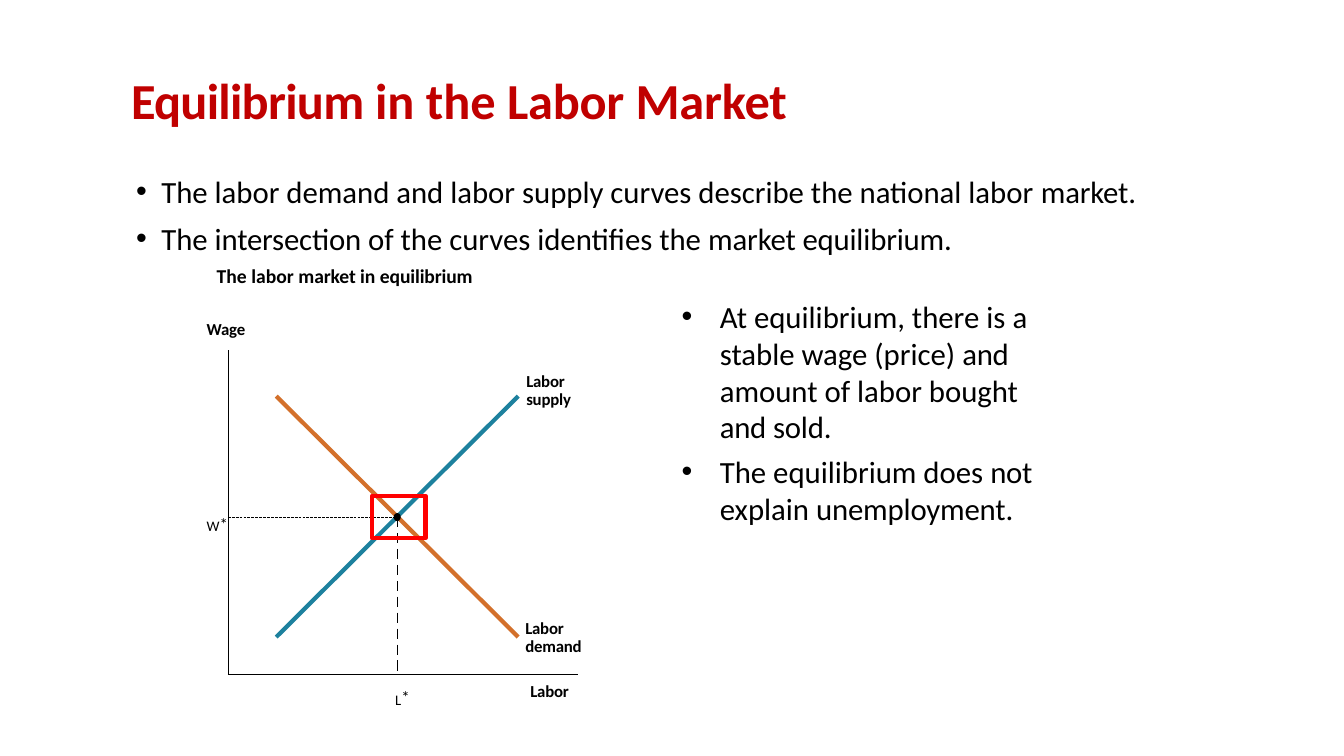
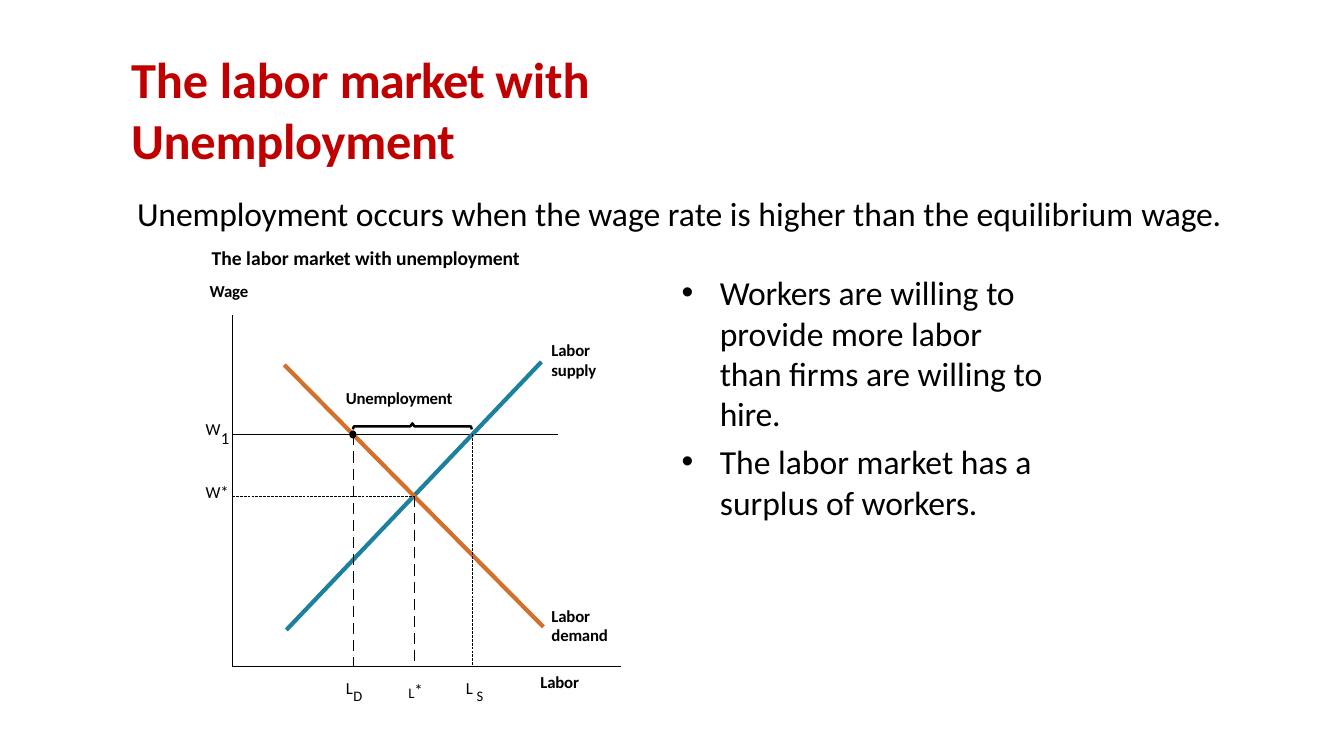
from pptx import Presentation
from pptx.dml.color import RGBColor
from pptx.enum.dml import MSO_LINE
from pptx.enum.shapes import MSO_CONNECTOR, MSO_SHAPE
from pptx.oxml.ns import qn
from pptx.util import Inches, Pt
from lxml.etree import SubElement

FONT = "Calibri"
BLACK, TITLE_RED, BOX_RED = "000000", "C00000", "FF0000"
SUPPLY, DEMAND = "1D819E", "D3702B"
THIN, THICK = 0.25, 3


def color(hex_string):
    return RGBColor.from_string(hex_string)


def add_span(para, text, size=12, bold=False, ink=BLACK, spacing=0, baseline=0):
    """Add a run; spacing is in points, baseline in percent."""
    span = para.add_run()
    span.text = text
    font = span.font
    font.name, font.size, font.bold = FONT, Pt(size), bold
    font.color.rgb = color(ink)
    properties = span._r.get_or_add_rPr()
    if spacing:
        properties.set("spc", str(round(spacing * 100)))
    if baseline:
        properties.set("baseline", str(baseline * 1000))


def tight(text, spacing=-0.1):
    return text, {"spacing": spacing}


def line_of(*spans, indent=0.01, hang=0, before=0, leading=None, **style):
    """Describe a paragraph; a span is a text or a (text, own style) pair."""
    pairs = [(span, {}) if isinstance(span, str) else span for span in spans]
    return {"spans": [(text, {**style, **own}) for text, own in pairs],
            "indent": indent, "hang": hang, "before": before, "leading": leading}


def starred(letter):
    return line_of((letter, {"size": 18, "baseline": -7, "spacing": -0.4}),
                   tight("*", -0.2), indent=0.04)


def dashes(x, top, bottom, step, dash):
    """List the strokes of a vertical dashed line, one every step inches."""
    count = int((bottom - top) / step + 0.99)
    starts = [top + index * step for index in range(count)]
    return [((x, y), (x, min(y + dash, bottom))) for y in starts]


class Slides:
    def __init__(self):
        self.deck = Presentation()
        self.deck.slide_width, self.deck.slide_height = Inches(13.33), Inches(7.5)
        self.page = None

    def new_page(self):
        self.page = self.deck.slides.add_slide(self.deck.slide_layouts[6])

    # Text
    def text(self, left, top, width, height, *lines):
        box = self.page.shapes.add_textbox(
            Inches(left), Inches(top), Inches(width), Inches(height))
        frame = box.text_frame
        frame.word_wrap = True
        frame.margin_left = frame.margin_right = 0
        frame.margin_top = frame.margin_bottom = 0
        for index, line in enumerate(lines):
            para = frame.add_paragraph() if index else frame.paragraphs[0]
            para.space_before = Pt(line["before"])
            if line["leading"]:
                para.line_spacing = Pt(line["leading"])
            properties = para._p.get_or_add_pPr()
            properties.set("marL", str(Inches(line["indent"])))
            properties.set("indent", str(-Inches(line["hang"])))
            if line["hang"]:
                SubElement(properties, qn("a:buFont"), typeface="Arial")
                SubElement(properties, qn("a:buChar"), char="•")
            for text, style in line["spans"]:
                add_span(para, text, **style)

    def title(self, top, width, *spans):
        self.text(1.29, top, width, 0.62,
                  line_of(*spans, size=36, bold=True, ink=TITLE_RED))

    def bullets(self, top, size, *items):
        self.text(6.75, top, 3.66, 2.2, *[
            line_of(*spans, size=size, indent=0.39, hang=0.38, before=5.5)
            for spans in items])

    def label(self, left, top, text, width=0.62, leading=None):
        self.text(left, top, width, 0.22,
                  line_of(text, bold=True, spacing=-0.15, leading=leading))

    def mark(self, left, top, line, width=0.28):
        self.text(left, top, width, 0.22, line)

    # Lines and shapes
    def line(self, start, end, ink=BLACK, width=THIN, dash=None):
        link = self.page.shapes.add_connector(
            MSO_CONNECTOR.STRAIGHT, *[Inches(value) for value in (*start, *end)])
        link.line.color.rgb = color(ink)
        link.line.width = Pt(width)
        if dash:
            link.line.dash_style = dash
        SubElement(link._element.spPr, qn("a:effectLst"))

    def dotted(self, start, end):
        self.line(start, end, dash=MSO_LINE.LONG_DASH)

    def curves(self, supply, demand):
        self.line(*supply, ink=SUPPLY, width=THICK)
        self.line(*demand, ink=DEMAND, width=THICK)

    def outline(self, shape, ink, width):
        shape.shadow.inherit = False
        shape.fill.background()
        shape.line.color.rgb = color(ink)
        shape.line.width = Pt(width)

    def strokes(self, strokes, width=THIN):
        """Draw open strokes, each a list of points, as one outline."""
        scaled = [[(Inches(x), Inches(y)) for x, y in stroke]
                  for stroke in strokes]
        builder = self.page.shapes.build_freeform(*scaled[0][0], scale=1.0)
        for index, (start, *others) in enumerate(scaled):
            if index:
                builder.move_to(*start)
            builder.add_line_segments(others, close=False)
        self.outline(builder.convert_to_shape(), BLACK, width)

    def brace(self, left, right, top, bottom):
        """Draw a flat brace that points up at its middle."""
        middle, bar = (left + right) / 2, (top + bottom) / 2
        self.strokes([[(left, bottom), (left + 0.01, bar), (middle - 0.02, bar),
                       (middle, top), (middle + 0.02, bar), (right - 0.01, bar),
                       (right, bottom)]], width=1.75)

    def dot(self, x, y):
        width, height = 0.07, 0.08
        dot = self.page.shapes.add_shape(
            MSO_SHAPE.OVAL, Inches(x - width / 2), Inches(y - height / 2),
            Inches(width), Inches(height))
        dot.shadow.inherit = False
        dot.fill.solid()
        dot.fill.fore_color.rgb = color(BLACK)
        dot.line.fill.background()

    def frame(self, left, top, width, height):
        shape = self.page.shapes.add_shape(
            MSO_SHAPE.RECTANGLE, Inches(left), Inches(top),
            Inches(width), Inches(height))
        self.outline(shape, BOX_RED, THICK)


def equilibrium_page(slides):
    slides.new_page()
    slides.title(0.69, 11, tight("Equilibrium ", -0.5), "in the ",
                 tight("Labor ", -0.2), tight("Market"))
    bullet = {"size": 22, "indent": 0.26, "hang": 0.25, "before": 7.2}
    slides.text(
        1.34, 1.71, 11.2, 1.15,
        line_of("The labor demand and labor supply curves describe "
                "the national labor ", tight("market."), **bullet),
        line_of("The ", tight("intersection "), "of the curves identifies the ",
                tight("market equilibrium."), **bullet),
        line_of("The labor ", tight("market "), "in ", tight("equilibrium"),
                size=14, bold=True, indent=0.81, before=5.3))

    # Diagram
    left, bottom, x, y = 2.26, 6.69, 3.94, 5.13
    slides.line((left, bottom), (5.73, bottom))
    slides.curves(supply=((2.74, 6.32), (5.14, 3.93)),
                  demand=((2.74, 3.93), (5.14, 6.32)))
    slides.dot(x, y)
    slides.dotted((left, y), (x, y))
    slides.strokes([*dashes(x, y, 6.66, step=0.158, dash=0.1),
                    ((left, bottom), (left, 3.47))])
    slides.frame(3.69, 4.92, 0.53, 0.42)

    # Labels
    slides.label(2.04, 3.16, "Wage")
    slides.label(5.25, 6.75, "Labor")
    slides.label(5.21, 3.7, "Labor supply", leading=12.8)
    slides.label(5.2, 6.15, "Labor demand", leading=12.8)
    slides.mark(2.01, 5.01, starred("W"))
    slides.mark(3.88, 6.73, starred("L"))

    slides.bullets(
        2.95, 22,
        ["At equilibrium, there is ", tight("a ", -0.5), "stable wage (price) ",
         tight("and ", -0.2), "amount of labor bought ", tight("and ", -0.2),
         tight("sold.")],
        ["The equilibrium does ", tight("not ", -0.2), "explain ",
         tight("unemployment.")])


def unemployment_page(slides):
    slides.new_page()
    slides.title(0.48, 7.5, "The ", tight("labor "), tight("market ", -0.6),
                 "with ", tight("Unemployment", -0.2))
    slides.text(
        1.35, 1.91, 11.2, 0.77,
        line_of(tight("Unemployment "), "occurs when the wage rate is higher "
                "than the equilibrium ", tight("wage."), size=24),
        line_of("The labor ", tight("market "), "with", tight(" unemployment"),
                size=14, bold=True, indent=0.75, before=9.2))

    # Diagram
    left, bottom = 2.3, 6.61
    demanded, balance, supplied = 3.5, 4.11, 4.68
    high_wage, balance_wage = 4.31, 4.92
    slides.line((left, high_wage), (5.53, high_wage), width=1)
    slides.curves(supply=((2.84, 6.25), (5.37, 3.59)),
                  demand=((2.82, 3.62), (5.39, 6.22)))
    slides.dotted((supplied, high_wage), (supplied, bottom))
    slides.strokes(dashes(demanded, high_wage, bottom, step=0.17, dash=0.11))
    slides.dot(demanded, high_wage)
    slides.dotted((left, balance_wage), (balance, balance_wage))
    slides.strokes(dashes(balance, balance_wage, 6.57, step=0.17, dash=0.11))
    slides.brace(demanded, supplied, 4.2, 4.26)
    slides.strokes([((left, bottom), (6.16, bottom)),
                    ((left, bottom), (left, 3.12))])

    # Labels
    slides.label(2.07, 2.78, "Wage")
    slides.label(5.35, 6.66, "Labor")
    slides.label(3.42, 3.85, "Unemployment", width=1.2)
    slides.label(5.46, 3.38, "Labor supply", leading=14)
    slides.label(5.46, 6.01, "Labor demand", leading=14)
    subscript = {"size": 18, "baseline": -28}
    slides.mark(2.03, 4.15, line_of("W", spacing=-0.5), width=0.18)
    slides.mark(2.18, 4.24, line_of("1", spacing=-0.5), width=0.11)
    slides.mark(2.03, 4.78, line_of("W*", spacing=-0.2))
    slides.mark(3.39, 6.64, line_of(tight("L", 0.3), ("D", subscript), indent=0.04))
    slides.mark(4.01, 6.66, starred("L"))
    slides.mark(4.58, 6.64, line_of("L ", ("S", subscript), indent=0.04))

    slides.bullets(
        2.7, 24,
        [tight("Workers ", -0.2), "are willing ", tight("to ", -0.2),
         "provide more labor ", tight("than ", -0.2), "firms are willing to ",
         tight("hire.", -0.2)],
        ["The labor market has ", tight("a ", -0.5), "surplus of ",
         tight("workers.")])


def main():
    slides = Slides()
    equilibrium_page(slides)
    unemployment_page(slides)
    slides.deck.save("out.pptx")


if __name__ == "__main__":
    main()
